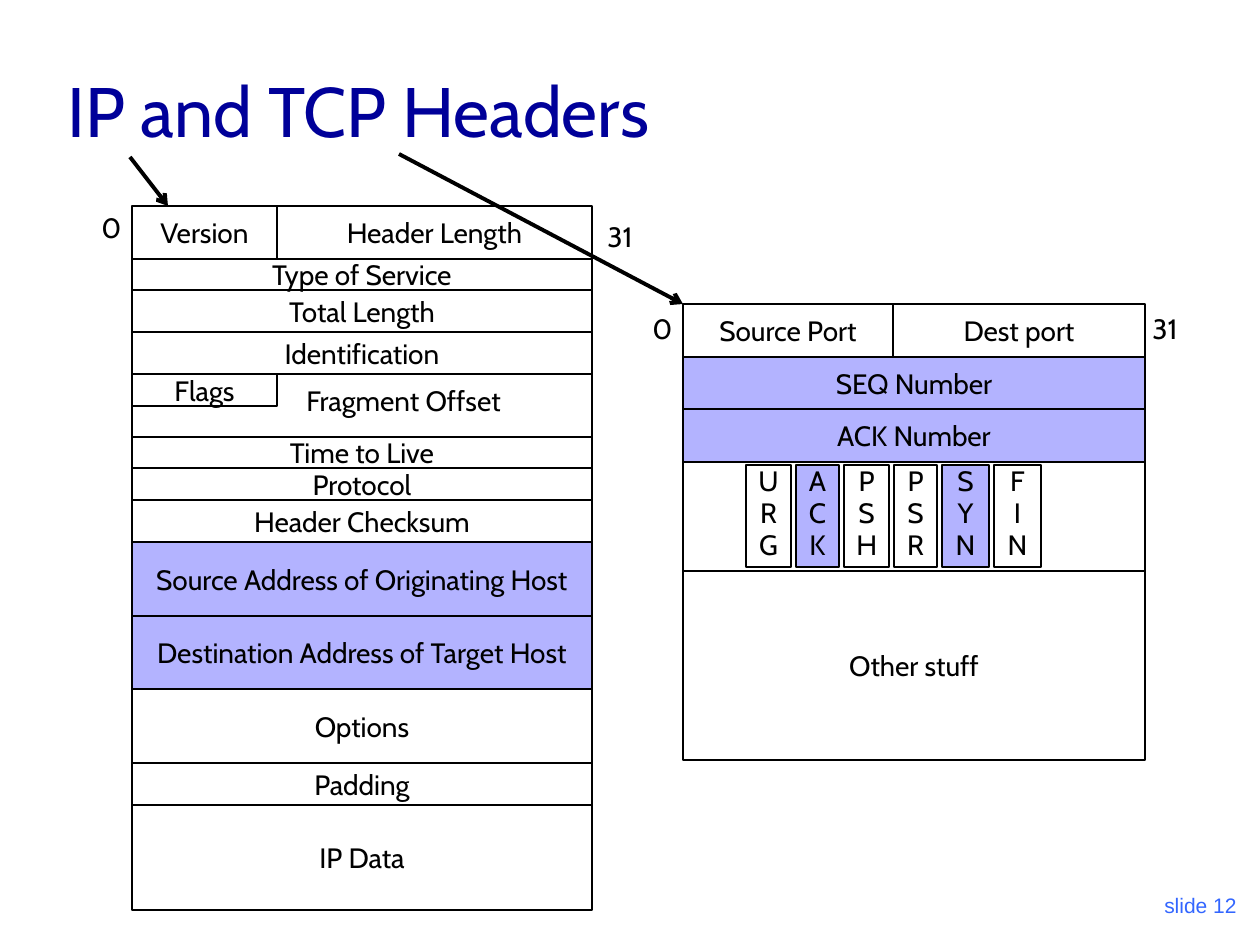
"""Build a slide that lays out the IP and TCP header fields."""

from dataclasses import dataclass

from lxml import etree
from pptx import Presentation
from pptx.dml.color import RGBColor
from pptx.enum.shapes import MSO_CONNECTOR, MSO_SHAPE
from pptx.enum.text import MSO_ANCHOR, MSO_AUTO_SIZE, PP_ALIGN
from pptx.oxml.ns import qn
from pptx.shapes.shapetree import GroupShapes, SlideShapes
from pptx.text.text import TextFrame
from pptx.util import Emu, Inches, Pt

RECTANGLE = MSO_SHAPE.RECTANGLE
STRAIGHT = MSO_CONNECTOR.STRAIGHT
TOP, MIDDLE, BOTTOM = MSO_ANCHOR.TOP, MSO_ANCHOR.MIDDLE, MSO_ANCHOR.BOTTOM
LEFT, CENTER, RIGHT = PP_ALIGN.LEFT, PP_ALIGN.CENTER, PP_ALIGN.RIGHT
FIT_SHAPE = MSO_AUTO_SIZE.SHAPE_TO_FIT_TEXT

PX_PER_INCH = 126
BLACK = RGBColor(0x00, 0x00, 0x00)
NAVY = RGBColor(0x00, 0x00, 0x99)
BLUE = RGBColor(0x33, 0x66, 0xFF)
LAVENDER = RGBColor(0xB3, 0xB3, 0xFF)
FLAG_GAP = 5

Shapes = SlideShapes | GroupShapes


@dataclass(frozen=True)
class Style:
    size: int = 16
    color: RGBColor = BLACK
    font: str = "Cabin"
    align: PP_ALIGN = LEFT
    anchor: MSO_ANCHOR = TOP


@dataclass(frozen=True)
class Field:
    text: str
    width: int
    marked: bool = False


@dataclass(frozen=True)
class Row:
    height: int
    fields: tuple[Field, ...]


@dataclass(frozen=True)
class Label:
    text: str
    left: int
    top: int
    width: int
    height: int = 47
    style: Style = Style()
    wrap: bool = False
    grow: bool = True


@dataclass(frozen=True)
class Arrow:
    start: tuple[int, int]
    end: tuple[int, int]


CELL = Style(align=CENTER, anchor=MIDDLE)
TITLE = Style(40, NAVY, anchor=BOTTOM)
FOOTER = Style(12, BLUE, "Arial", RIGHT, BOTTOM)

IP_LEFT, IP_TOP, IP_WIDTH = 132, 206, 460
VERSION_WIDTH = 145
TCP_LEFT, TCP_TOP, TCP_WIDTH = 683, 304, 462
SOURCE_WIDTH = 210


def full_row(height: int, text: str, width: int, marked: bool = False) -> Row:
    return Row(height, (Field(text, width, marked),))


IP_ROWS = [
    Row(53, (Field("Version", VERSION_WIDTH),
             Field("Header Length", IP_WIDTH - VERSION_WIDTH))),
    full_row(31, "Type of Service", IP_WIDTH),
    full_row(42, "Total Length", IP_WIDTH),
    full_row(42, "Identification", IP_WIDTH),
    full_row(63, "", IP_WIDTH),
    full_row(31, "Time to Live", IP_WIDTH),
    full_row(32, "Protocol", IP_WIDTH),
    full_row(42, "Header Checksum", IP_WIDTH),
    full_row(74, "Source Address of Originating Host", IP_WIDTH, True),
    full_row(73, "Destination Address of Target Host", IP_WIDTH, True),
    full_row(74, "Options", IP_WIDTH),
    full_row(42, "Padding", IP_WIDTH),
    full_row(105, "IP Data", IP_WIDTH),
]
FRAGMENT_TOP = IP_TOP + sum(row.height for row in IP_ROWS[:4])

TCP_ROWS = [
    Row(53, (Field("Source Port", SOURCE_WIDTH),
             Field("Dest port", TCP_WIDTH - SOURCE_WIDTH))),
    full_row(52, "SEQ Number", TCP_WIDTH, True),
    full_row(53, "ACK Number", TCP_WIDTH, True),
    full_row(109, "", TCP_WIDTH),
    full_row(189, "Other stuff", TCP_WIDTH),
]

TCP_FLAGS = [
    Field("URG", 45), Field("ACK", 43, True), Field("PSH", 45),
    Field("PSR", 43), Field("SYN", 47, True), Field("FIN", 47),
]

IP_LABELS = [Label("0", 89, 204, 40), Label("31", 595, 213, 57)]
TCP_LABELS = [Label("0", 640, 305, 40), Label("31", 1140, 305, 57)]
ARROWS = [Arrow((130, 157), (168, 206)), Arrow((399, 154), (683, 304))]


def px(length: int) -> Emu:
    return Emu(round(length * Inches(1) / PX_PER_INCH))


def write(frame: TextFrame, text: str, style: Style) -> None:
    frame.text = text
    frame.vertical_anchor = style.anchor
    for para in frame.paragraphs:
        para.alignment = style.align
        for span in para.runs:
            span.font.size = Pt(style.size)
            span.font.name = style.font
            span.font.color.rgb = style.color


def draw_cell(shapes: Shapes, field: Field, left: int, top: int, height: int) -> TextFrame:
    box = shapes.add_shape(RECTANGLE, px(left), px(top), px(field.width), px(height))
    box.shadow.inherit = False
    box.line.color.rgb = BLACK
    box.line.width = Pt(1)
    if field.marked:
        box.fill.solid()
        box.fill.fore_color.rgb = LAVENDER
    else:
        box.fill.background()
    box.text_frame.word_wrap = False
    write(box.text_frame, field.text, CELL)
    return box.text_frame


def draw_rows(shapes: Shapes, rows: list[Row], left: int, top: int) -> None:
    for row in rows:
        field_left = left
        for field in row.fields:
            draw_cell(shapes, field, field_left, top, row.height)
            field_left += field.width
        top += row.height


def draw_flags(shapes: Shapes, flags: list[Field], left: int, top: int, height: int) -> None:
    for flag in flags:
        stacked = Field("\n".join(flag.text), flag.width, flag.marked)
        frame = draw_cell(shapes, stacked, left, top, height)
        frame.auto_size = FIT_SHAPE
        for index, para in enumerate(frame.paragraphs):
            para.line_spacing = 0.75
            para.space_before = Pt(4 if index else 0)
        left += flag.width + FLAG_GAP


def draw_label(shapes: Shapes, label: Label) -> None:
    box = shapes.add_textbox(px(label.left), px(label.top), px(label.width), px(label.height))
    box.text_frame.word_wrap = label.wrap
    if label.grow:
        box.text_frame.auto_size = FIT_SHAPE
    write(box.text_frame, label.text, label.style)


def draw_arrow(shapes: Shapes, arrow: Arrow) -> None:
    line = shapes.add_connector(STRAIGHT, *map(px, arrow.start + arrow.end))
    line.line.color.rgb = BLACK
    line.line.width = Pt(2.25)
    properties = line.element.spPr
    etree.SubElement(properties.find(qn("a:ln")), qn("a:tailEnd"), type="arrow")
    etree.SubElement(properties, qn("a:effectLst"))


def main() -> None:
    deck = Presentation()
    deck.slide_width, deck.slide_height = Inches(10), Inches(7.5)
    page = deck.slides.add_slide(deck.slide_layouts[6]).shapes
    draw_label(page, Label("IP and TCP Headers", 55, 32, 1071, 126, TITLE, True, False))

    ip_header = page.add_group_shape().shapes
    draw_rows(ip_header, IP_ROWS, IP_LEFT, IP_TOP)
    draw_cell(ip_header, Field("Flags", VERSION_WIDTH), IP_LEFT, FRAGMENT_TOP, 32)
    draw_label(ip_header, Label("Fragment Offset", 294, 377, 289, wrap=True))
    for label in IP_LABELS:
        draw_label(page, label)

    tcp_header = page.add_group_shape().shapes
    draw_rows(tcp_header, TCP_ROWS, TCP_LEFT, TCP_TOP)
    draw_flags(tcp_header, TCP_FLAGS, 746, 465, 102)
    for label in TCP_LABELS:
        draw_label(tcp_header, label)

    for arrow in ARROWS:
        draw_arrow(page, arrow)
    draw_label(page, Label("slide 12", 987, 861, 262, 63, FOOTER, True, False))
    deck.save("out.pptx")


if __name__ == "__main__":
    main()
